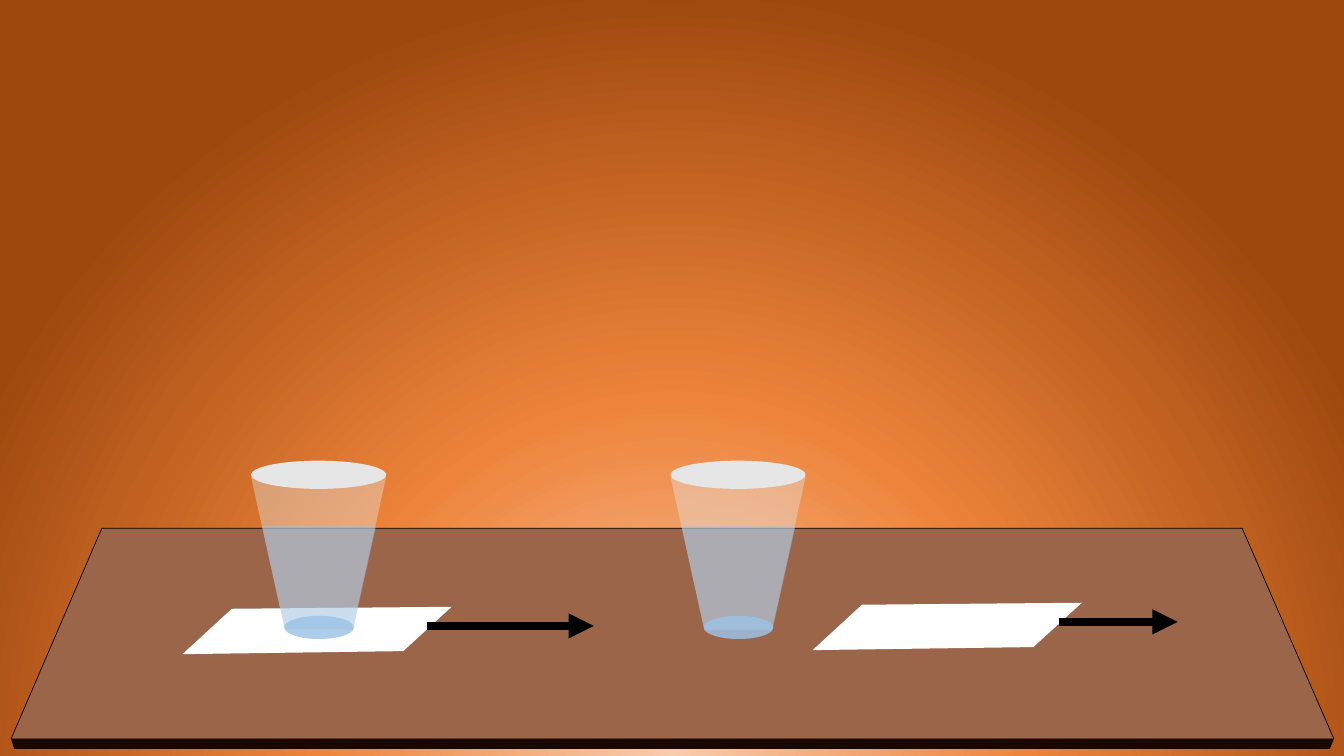
from typing import NamedTuple

from lxml import etree
from pptx import Presentation
from pptx.dml.color import RGBColor
from pptx.enum.shapes import MSO_CONNECTOR, MSO_SHAPE
from pptx.oxml.ns import qn
from pptx.util import Inches, Pt

ELLIPSE = MSO_SHAPE.OVAL
TRAPEZOID = MSO_SHAPE.TRAPEZOID
FUNNEL = MSO_SHAPE.FLOWCHART_MANUAL_OPERATION
STRAIGHT = MSO_CONNECTOR.STRAIGHT
BLANK_LAYOUT = 6

COLORS = {
    "glow": "F8CBAD", "orange": "EE843B", "rust": "9E480E",
    "table_top": "9B6549", "table_edge": "1A0800", "paper": "FFFFFF",
    "glass": "E7E6E6", "water": "9DC3E6", "black": "000000",
}
BACKGROUND_STOPS = ((0, "glow"), (46, "orange"), (100, "rust"))
TABLE_TOP = ((1.01, 5.24), (12.32, 5.24), (13.23, 7.33), (0.11, 7.33))
TABLE_FRONT = ((0.11, 7.33), (13.23, 7.33), (13.19, 7.43), (0.14, 7.43))
PAPER = ((0.49, 0.02), (2.67, 0), (2.19, 0.44), (0, 0.47))


class Sheet(NamedTuple):
    """A sheet of paper and the arrow that shows its pull."""
    left: float
    top: float
    arrow_start: float
    arrow_end: float
    arrow_y: float


class GlassPart(NamedTuple):
    """A part of the glass, placed from the left edge of its rim."""
    kind: int
    offset: float
    top: float
    width: float
    height: float
    color: str
    opacity: int
    rotation: int = 0


SHEETS = (Sheet(1.81, 6.02, 4.24, 5.89, 6.21), Sheet(8.06, 5.98, 10.5, 11.68, 6.17))
GLASS_LEFTS = (2.49, 6.65)
GLASS_PARTS = (
    GlassPart(ELLIPSE, 0, 4.57, 1.34, 0.28, "glass", 100),
    GlassPart(TRAPEZOID, 0, 4.73, 1.34, 1.52, "glass", 40, 180),
)
WATER_PARTS = (
    GlassPart(ELLIPSE, 0.33, 6.11, 0.69, 0.23, "water", 83),
    GlassPart(FUNNEL, 0.11, 5.22, 1.13, 1.02, "water", 46),
)


def paint(shape, color: str, opacity: int = 100) -> None:
    """Give a shape a plain fill, without line or shadow."""
    shape.shadow.inherit = False
    shape.line.fill.background()
    shape.fill.solid()
    shape.fill.fore_color.rgb = RGBColor.from_string(COLORS[color])
    if opacity < 100:
        tint = shape.fill._xPr.find(f".//{qn('a:srgbClr')}")
        etree.SubElement(tint, qn("a:alpha"), val=str(opacity * 1000))


def paint_background(page) -> None:
    """Fill the background with a glow centred below the slide."""
    fill = page.background.fill
    fill.gradient()
    gradient = page.element.find(f".//{qn('a:gradFill')}")
    for child in list(gradient):
        gradient.remove(child)
    stops = etree.SubElement(gradient, qn("a:gsLst"))
    for position, color in BACKGROUND_STOPS:
        stop = etree.SubElement(stops, qn("a:gs"), pos=str(position * 1000))
        etree.SubElement(stop, qn("a:srgbClr"), val=COLORS[color])
    circle = etree.SubElement(gradient, qn("a:path"))
    circle.set("path", "circle")
    etree.SubElement(circle, qn("a:fillToRect"),
                     l="50000", t="130000", r="50000", b="-30000")


def add_polygon(page, points, color: str, left: float = 0, top: float = 0):
    """Draw a closed outline, moved by left and top."""
    corners = [(Inches(left + x), Inches(top + y)) for x, y in points]
    builder = page.shapes.build_freeform(*corners[0])
    builder.add_line_segments(corners[1:], close=True)
    polygon = builder.convert_to_shape()
    paint(polygon, color)
    return polygon


def add_table_board(page) -> None:
    """Draw the table top and its front edge."""
    top = add_polygon(page, TABLE_TOP, "table_top")
    top.line.color.rgb = RGBColor.from_string(COLORS["black"])
    top.line.width = Pt(0.5)
    add_polygon(page, TABLE_FRONT, "table_edge")


def add_sheet(page, sheet: Sheet) -> None:
    """Draw a sheet of paper with its arrow."""
    add_polygon(page, PAPER, "paper", sheet.left, sheet.top)
    y = Inches(sheet.arrow_y)
    arrow = page.shapes.add_connector(
        STRAIGHT, Inches(sheet.arrow_start), y, Inches(sheet.arrow_end), y)
    arrow.line.color.rgb = RGBColor.from_string(COLORS["black"])
    arrow.line.width = Pt(6)
    etree.SubElement(arrow.line._get_or_add_ln(), qn("a:tailEnd"), type="triangle")
    etree.SubElement(arrow.element.spPr, qn("a:effectLst"))


def add_parts(shapes, parts, left: float) -> None:
    """Draw glass parts into a collection of shapes."""
    for part in parts:
        shape = shapes.add_shape(
            part.kind, Inches(left + part.offset), Inches(part.top),
            Inches(part.width), Inches(part.height))
        shape.rotation = part.rotation
        paint(shape, part.color, part.opacity)


def add_glass(page, left: float) -> None:
    """Draw a glass with its water as a group."""
    add_parts(page.shapes, GLASS_PARTS, left)
    add_parts(page.shapes.add_group_shape().shapes, WATER_PARTS, left)


def main() -> None:
    """Build the slide and save it."""
    deck = Presentation()
    deck.slide_width, deck.slide_height = Inches(13.33), Inches(7.5)
    page = deck.slides.add_slide(deck.slide_layouts[BLANK_LAYOUT])
    paint_background(page)
    add_table_board(page)
    for sheet in SHEETS:
        add_sheet(page, sheet)
    for left in GLASS_LEFTS:
        add_glass(page, left)
    deck.save("out.pptx")


main()
